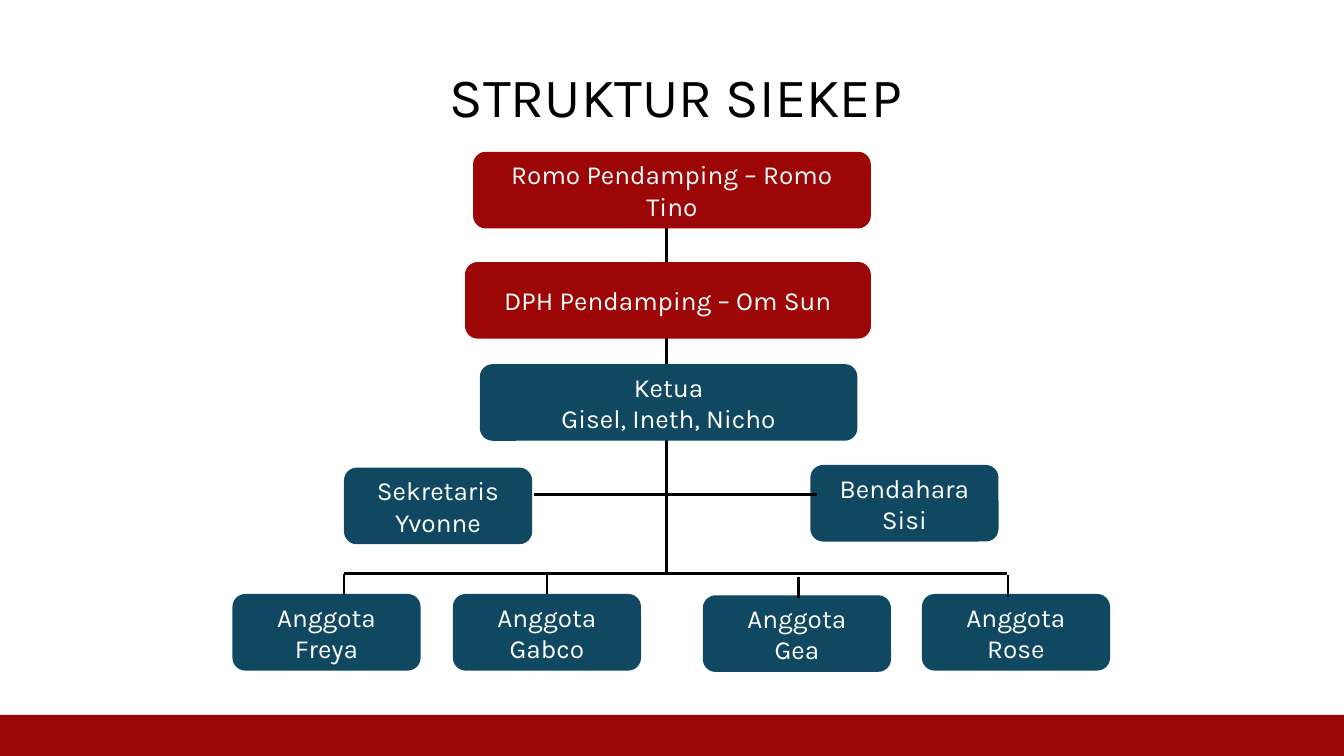
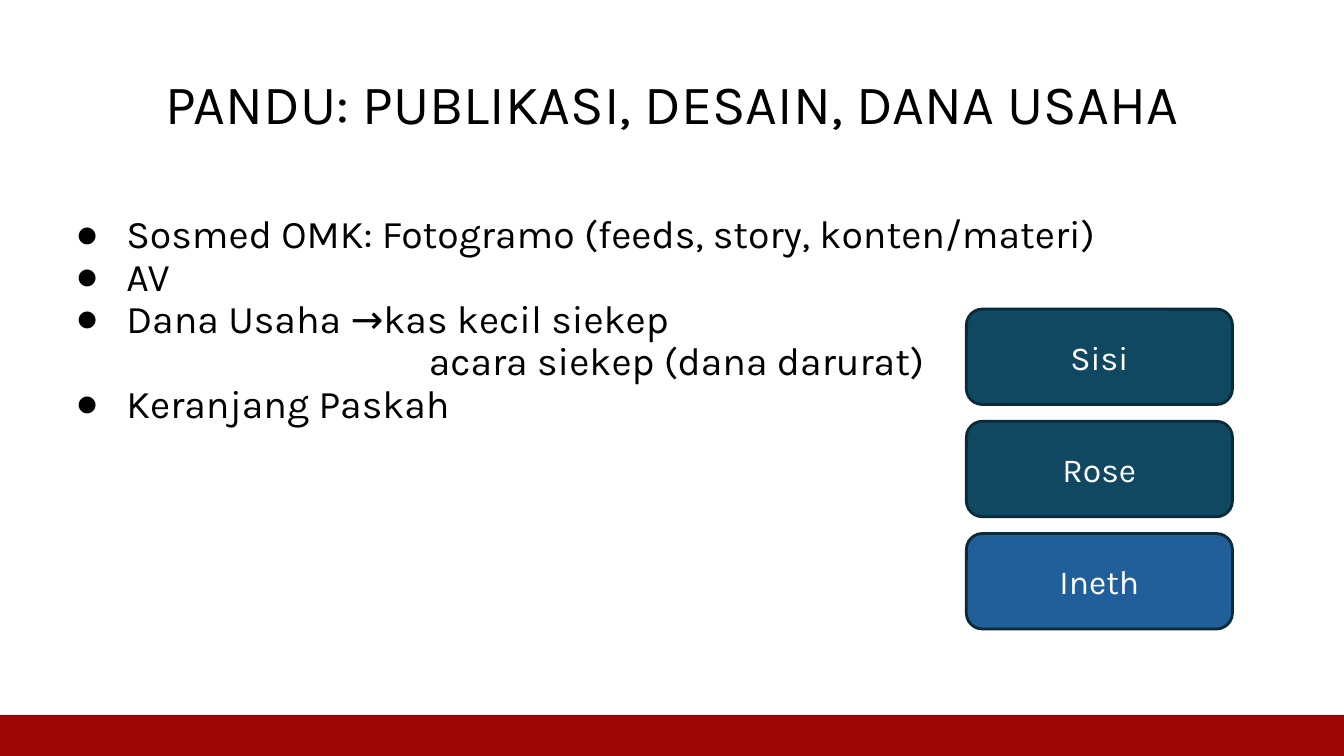
"""Build two slides: the team chart and the Pandu task list."""
from lxml.etree import SubElement
from pptx import Presentation
from pptx.dml.color import RGBColor
from pptx.enum.shapes import MSO_CONNECTOR as Link, MSO_SHAPE as Form
from pptx.enum.text import MSO_ANCHOR as Anchor, MSO_AUTO_SIZE as Auto, PP_ALIGN as Align
from pptx.oxml.ns import qn
from pptx.util import Inches, Pt

FONT = "Karla"
BLACK, WHITE = "000000", "FFFFFF"
RED, TEAL, BLUE, EDGE = "9C0606", "104862", "215F9A", "092A39"
WIDE = 10
HIGH = WIDE * 9 / 16
BOX_W, BOX_H = 1.4, 0.57
SPINE, RAIL, STUB = 4.96, 4.27, 0.16
STEP = 1.67 / 2


def tint(code):
    return RGBColor.from_string(code)


def place(shape, *area):
    shape.left, shape.top, shape.width, shape.height = map(Inches, area)


def write(para, text, size, color, align):
    para.alignment = align
    run = para.add_run()
    run.text = text
    font = run.font
    font.name, font.size, font.bold = FONT, Pt(size), False
    font.color.rgb = tint(color)


def frame(holder):
    text = holder.text_frame
    text.word_wrap, text.auto_size = True, Auto.NONE
    text.vertical_anchor = Anchor.TOP
    text.margin_left = text.margin_right = Inches(0.1)
    text.margin_top = text.margin_bottom = Inches(0.1)
    return text


def panel(slide, form, area, fill, edge=None):
    shape = slide.shapes.add_shape(form, *map(Inches, area))
    shape.shadow.inherit = False
    shape.fill.solid()
    shape.fill.fore_color.rgb = tint(fill)
    if edge:
        shape.line.color.rgb = tint(edge)
        shape.line.width = Pt(1.5)
    else:
        shape.line.fill.background()
    return shape


def card(slide, area, lines, fill=TEAL, size=14, edge=None):
    text = panel(slide, Form.ROUNDED_RECTANGLE, area, fill, edge).text_frame
    text.word_wrap, text.vertical_anchor = True, Anchor.MIDDLE
    for i, line in enumerate(lines):
        para = text.add_paragraph() if i else text.paragraphs[0]
        write(para, line, size, WHITE, Align.CENTER)


def wire(slide, *ends):
    line = slide.shapes.add_connector(Link.STRAIGHT, *map(Inches, ends))
    line.line.color.rgb = tint(BLACK)
    line.line.width = Pt(1.5)
    SubElement(line._element.spPr, qn("a:effectLst"))


def page(deck, layout, title, left, top, align):
    slide = deck.slides.add_slide(deck.slide_layouts[layout])
    place(slide.shapes.title, left, top, 9.32, 0.63)
    para = frame(slide.shapes.title).paragraphs[0]
    para.line_spacing = 0.9
    write(para, title, 29.7, BLACK, align)
    panel(slide, Form.RECTANGLE, (0, 5.32, WIDE, HIGH - 5.32), RED)
    return slide


def item(para, text, dot, left, hang):
    para.line_spacing, para.space_before = 0.9, Pt(0)
    write(para, text, 21, BLACK, Align.LEFT)
    props = para._p.get_or_add_pPr()
    props.set("marL", str(Inches(left)))
    props.set("indent", str(Inches(hang)))
    if dot:
        SubElement(props, qn("a:buChar"), char="●")
    else:
        SubElement(props, qn("a:buNone"))


def chart(deck):
    slide = page(deck, 5, "STRUKTUR SIEKEP", 0.37, 0.42, Align.CENTER)
    wire(slide, SPINE, 1.63, SPINE, RAIL)
    for left, top, width, fill, lines in (
        (3.52, 1.13, 2.96, RED, ["Romo Pendamping – Romo Tino"]),
        (3.46, 1.95, 3.02, RED, ["DPH Pendamping – Om Sun"]),
        (3.57, 2.71, 2.81, TEAL, ["Ketua", "Gisel, Ineth, Nicho"]),
        (2.56, 3.48, BOX_W, TEAL, ["Sekretaris", "Yvonne"]),
        (6.03, 3.46, BOX_W, TEAL, ["Bendahara", "Sisi"]),
    ):
        card(slide, (left, top, width, BOX_H), lines, fill)
    wire(slide, 3.97, 3.68, 6.08, 3.68)
    wire(slide, 2.56, RAIL, 7.49, RAIL)
    for name, left, top, stem, start in (
        ("Freya", 1.73, 4.42, 2.56, 4.27),
        ("Gabco", 3.37, 4.42, 4.07, 4.26),
        ("Gea", 5.23, 4.43, 5.94, 4.29),
        ("Rose", 6.86, 4.42, 7.5, 4.28),
    ):
        card(slide, (left, top, BOX_W, BOX_H), ["Anggota", name])
        wire(slide, stem, start, stem, start + STUB)


def tasks(deck):
    slide = page(deck, 1, "PANDU: PUBLIKASI, DESAIN, DANA USAHA", 1.13, 0.47, Align.LEFT)
    body = slide.placeholders[1]
    place(body, 0.34, 1.5, 9.32, 3.74)
    text = frame(body)
    for i, (line, dot) in enumerate((
        ("Sosmed OMK: Fotogramo (feeds, story, konten/materi)", True),
        ("AV", True),
        ("Dana Usaha →kas kecil siekep", True),
        ("acara siekep (dana darurat)", False),
        ("Keranjang Paskah", True),
    )):
        para = text.add_paragraph() if i else text.paragraphs[0]
        left, hang = (0.5, -0.38) if dot else (2.75, 0)
        item(para, line, dot, left, hang)
    for i, (name, fill) in enumerate((("Sisi", TEAL), ("Rose", TEAL), ("Ineth", BLUE))):
        card(slide, (7.19, 2.3 + i * STEP, 1.98, 0.71), [name], fill, 18, EDGE)


def main():
    deck = Presentation()
    deck.slide_width, deck.slide_height = Inches(WIDE), Inches(HIGH)
    chart(deck)
    tasks(deck)
    deck.save("out.pptx")


if __name__ == "__main__":
    main()
